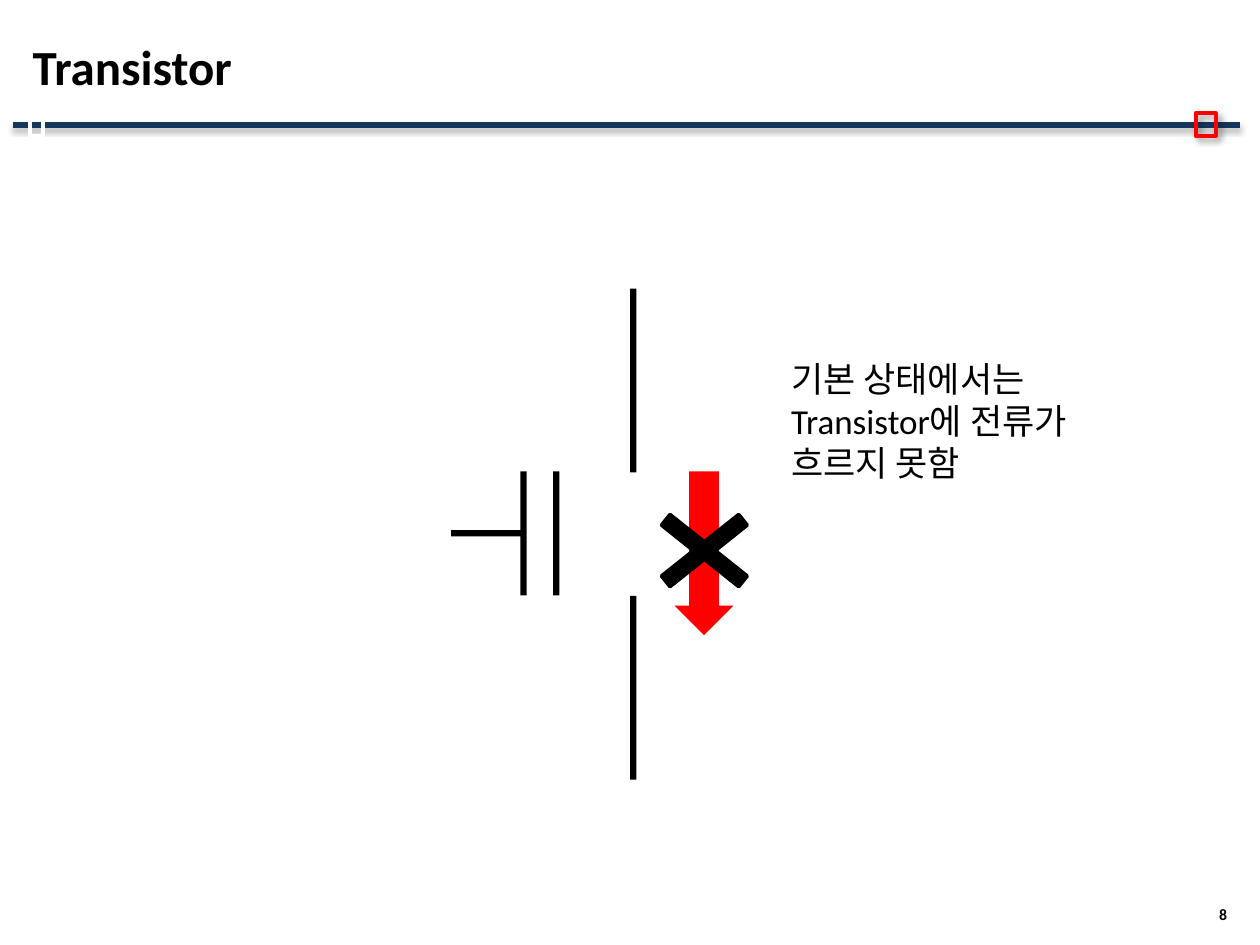
from lxml import etree
from pptx import Presentation
from pptx.dml.color import RGBColor
from pptx.enum.shapes import MSO_CONNECTOR, MSO_SHAPE
from pptx.enum.text import MSO_ANCHOR, MSO_AUTO_SIZE, PP_ALIGN
from pptx.oxml import parse_xml
from pptx.oxml.ns import nsdecls, qn
from pptx.util import Pt

RECT, ARROW, CROSS = MSO_SHAPE.RECTANGLE, MSO_SHAPE.RIGHT_ARROW, MSO_SHAPE.MATH_MULTIPLY
LEFT, RIGHT = PP_ALIGN.LEFT, PP_ALIGN.RIGHT
TOP, MIDDLE = MSO_ANCHOR.TOP, MSO_ANCHOR.MIDDLE
BLACK = RGBColor(0x00, 0x00, 0x00)
WHITE = RGBColor(0xFF, 0xFF, 0xFF)
RED = RGBColor(0xFF, 0x00, 0x00)
NAVY = RGBColor(0x17, 0x36, 0x5D)

deck = Presentation()
deck.slide_width, deck.slide_height = Pt(720), Pt(540)
slide = deck.slides.add_slide(deck.slide_layouts[5])
shapes = slide.shapes


def draw(kind, box, fill=None, line=None, width=0):
    shape = shapes.add_shape(kind, *map(Pt, box))
    shape.shadow.inherit = False
    for part, color in ((shape.fill, fill), (shape.line.fill, line)):
        if color is None:
            part.background()
        else:
            part.solid()
            part.fore_color.rgb = color
    if line is not None:
        shape.line.width = Pt(width)
    return shape


rule = shapes.add_connector(MSO_CONNECTOR.STRAIGHT, Pt(7.2), Pt(71.5), Pt(708.5), Pt(71.5))
rule.line.color.rgb = NAVY
rule.line.width = Pt(3)
etree.SubElement(rule._element.spPr, qn("a:effectLst"))
draw(RECT, (17.3, 66.2, 7.2, 11.5), line=WHITE, width=2.25)
mark = draw(RECT, (683.3, 64.8, 11.5, 13), line=RED, width=2.25)

for shape, blur, dist, angle, alpha in ((rule, 3.1, 1.8, 90, 35), (mark, 4, 3, 45, 40)):
    shape._element.spPr.find(qn("a:effectLst")).append(parse_xml(
        f'<a:outerShdw {nsdecls("a")} blurRad="{Pt(blur)}" dist="{Pt(dist)}" '
        f'dir="{angle * 60000}" rotWithShape="0"><a:srgbClr val="{BLACK}">'
        f'<a:alpha val="{alpha * 1000}"/></a:srgbClr></a:outerShdw>'))

for x, y, high, turn in (
    (360, 164.9, 105.1, 0),
    (360, 340.5, 105.1, 0),
    (316.1, 269.4, 70.8, 0),
    (297.4, 269.4, 70.8, 0),
    (277.2, 283.5, 42.5, 270),
):
    draw(RECT, (x, y, 3.6, high), BLACK).rotation = turn

draw(ARROW, (355.5, 299.3, 93.6, 33.8), RED).rotation = 90
cross = draw(CROSS, (360, 280.8, 85, 67.7), BLACK, BLACK, 2)
cross.adjustments[0] = 0.116

title = shapes.title
page = shapes.add_textbox(0, 0, 0, 0)
note = shapes.add_textbox(0, 0, 0, 0)
for shape, box, text, size, bold, align, anchor, wrap in (
    (title, (11.5, 3.6, 697.7, 68.4), "Transistor", 28, True, LEFT, MIDDLE, True),
    (page, (660.2, 514, 48.2, 17.3), "8", 9, True, RIGHT, MIDDLE, True),
    (note, (445, 200.9, 182.2, 79.9), "기본 상태에서는\vTransistor에 전류가\v흐르지 못함",
     20, False, LEFT, TOP, False),
):
    for name, value in zip(("left", "top", "width", "height"), box):
        setattr(shape, name, Pt(value))
    frame = shape.text_frame
    frame.text = text
    frame.word_wrap = wrap
    frame.vertical_anchor = anchor
    frame.auto_size = MSO_AUTO_SIZE.NONE if wrap else MSO_AUTO_SIZE.SHAPE_TO_FIT_TEXT
    para = frame.paragraphs[0]
    para.alignment = align
    for run in para.runs:
        run.font.color.rgb = BLACK
        for name, value in {"name": "Calibri", "size": Pt(size), "bold": bold}.items():
            setattr(run.font, name, value)

deck.save("out.pptx")
